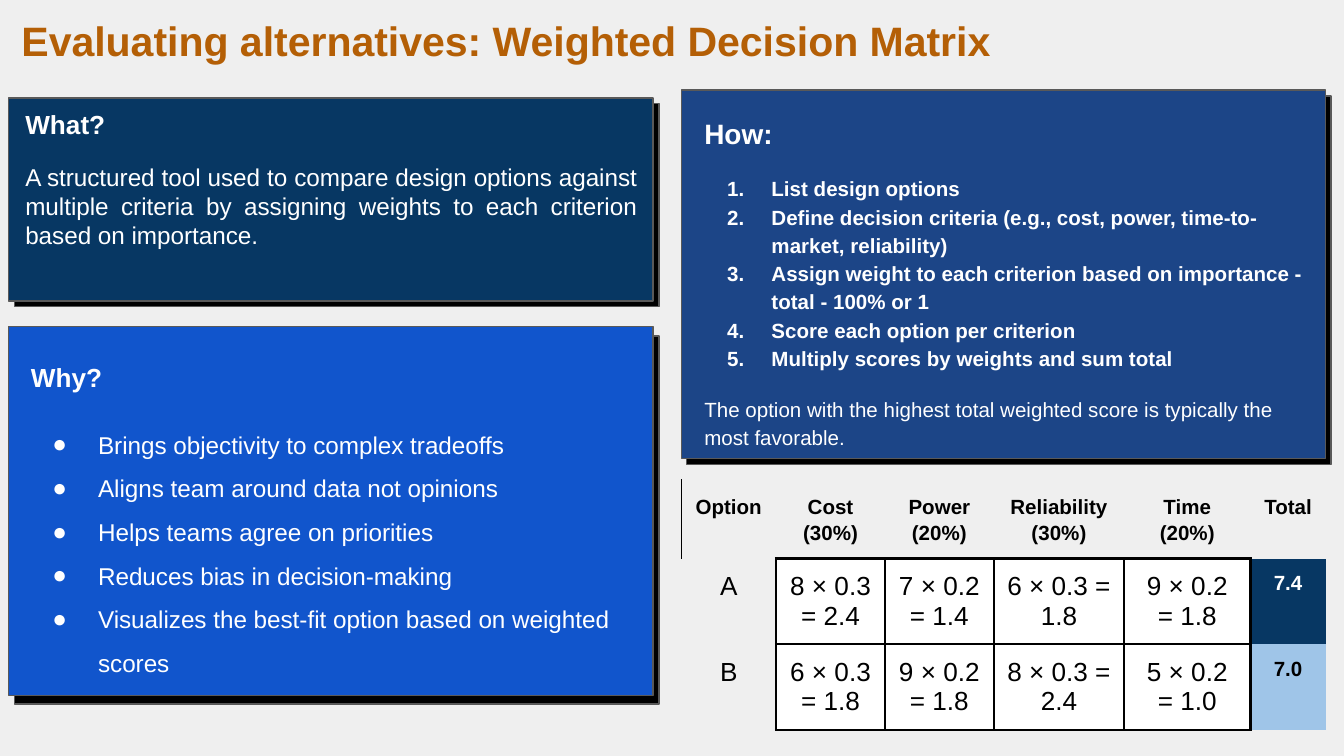
from lxml import etree
from pptx import Presentation
from pptx.dml.color import RGBColor
from pptx.enum.shapes import MSO_SHAPE
from pptx.enum.text import MSO_ANCHOR, MSO_AUTO_SIZE, PP_ALIGN
from pptx.oxml.ns import qn
from pptx.util import Pt

RECTANGLE = MSO_SHAPE.RECTANGLE
TOP, MIDDLE = MSO_ANCHOR.TOP, MSO_ANCHOR.MIDDLE
NO_AUTOFIT = MSO_AUTO_SIZE.NONE
LEFT, CENTER, JUSTIFY = PP_ALIGN.LEFT, PP_ALIGN.CENTER, PP_ALIGN.JUSTIFY

PX = 4572
INSET = 20 * PX
COLORS = {
    "background": "EFEFEF", "title": "B45F06", "outline": "595959",
    "black": "000000", "white": "FFFFFF", "what": "073763",
    "why": "1155CC", "how": "1C4587", "runner_up": "9FC5E8",
}


def rgb(name):
    return RGBColor.from_string(COLORS[name])


def write(paragraph, text, size, color="white", bold=False, align=LEFT,
          spacing=1.0, before=0, after=0, bullet=None, hang=0):
    paragraph.alignment = align
    paragraph.line_spacing = spacing
    paragraph.space_before = Pt(before)
    paragraph.space_after = Pt(after)
    run = paragraph.add_run()
    run.text = text
    run.font.name = "Arial"
    run.font.size = Pt(size)
    run.font.bold = bold
    run.font.color.rgb = rgb(color)
    pPr = paragraph._p.get_or_add_pPr()
    pPr.set("marL", str(100 * PX if bullet else 0))
    pPr.set("indent", str(-hang * PX))
    if bullet == "number":
        etree.SubElement(pPr, qn("a:buFont"), typeface="Arial")
        etree.SubElement(pPr, qn("a:buAutoNum"), type="arabicPeriod")
    elif bullet:
        etree.SubElement(pPr, qn("a:buFont"), typeface="Arial")
        etree.SubElement(pPr, qn("a:buChar"), char=bullet)
    else:
        etree.SubElement(pPr, qn("a:buNone"))


prs = Presentation()
prs.slide_width, prs.slide_height = 2000 * PX, 1125 * PX
slide = prs.slides.add_slide(prs.slide_layouts[3])
slide.background.fill.solid()
slide.background.fill.fore_color.rgb = rgb("background")

panels = [
    (22, 500, 548, "black"), (22, 154, 302, "black"), (1022, 143, 548, "black"),
    (13, 146, 302, "what"), (13, 486, 549, "why"), (1014, 134, 548, "how"),
]
for left, top, height, color in panels:
    panel = slide.shapes.add_shape(RECTANGLE, left * PX, top * PX, 959 * PX, height * PX)
    panel.shadow.inherit = False
    panel.fill.solid()
    panel.fill.fore_color.rgb = rgb(color)
    panel.line.color.rgb = rgb("outline")
    panel.line.width = Pt(0.75)

title, why, how = slide.placeholders
what = slide.shapes.add_textbox(0, 0, PX, PX)
text_areas = [
    (title, 12, 1, 1666, 118, MIDDLE), (what, 18, 141, 949, 252, TOP),
    (why, 26, 511, 932, 500, TOP), (how, 1028, 146, 950, 544, TOP),
]
for area, left, top, width, height, anchor in text_areas:
    area.left, area.top = left * PX, top * PX
    area.width, area.height = width * PX, height * PX
    frame = area.text_frame
    frame.word_wrap = True
    frame.auto_size = NO_AUTOFIT
    frame.vertical_anchor = anchor
    frame.margin_left = frame.margin_right = INSET
    frame.margin_top = frame.margin_bottom = INSET
    slide.shapes.element.append(area.element)

write(title.text_frame.paragraphs[0], "Evaluating alternatives: Weighted Decision Matrix",
      22, "title", bold=True)

write(what.text_frame.paragraphs[0], "What?", 14, bold=True)
write(what.text_frame.add_paragraph(),
      "A structured tool used to compare design options against multiple criteria "
      "by assigning weights to each criterion based on importance.",
      13, align=JUSTIFY, before=12)

reasons = [
    "Brings objectivity to complex tradeoffs",
    "Aligns team around data not opinions",
    "Helps teams agree on priorities",
    "Reduces bias in decision-making",
    "Visualizes the best-fit option based on weighted scores",
]
write(why.text_frame.paragraphs[0], "Why?", 14, bold=True, spacing=1.15, before=12)
for i, reason in enumerate(reasons):
    write(why.text_frame.add_paragraph(), reason, 13, spacing=1.5,
          before=0 if i else 12, bullet="●", hang=68)

steps = [
    "List design options",
    "Define decision criteria (e.g., cost, power, time-to-market, reliability)",
    "Assign weight to each criterion based on importance - total - 100% or 1",
    "Score each option per criterion",
    "Multiply scores by weights and sum total",
]
write(how.text_frame.paragraphs[0], "How:", 15, bold=True, spacing=1.15, before=12)
for i, step in enumerate(steps):
    write(how.text_frame.add_paragraph(), step, 11, bold=True, spacing=1.15,
          before=0 if i else 12, bullet="number", hang=66)
write(how.text_frame.add_paragraph(),
      "The option with the highest total weighted score is typically the most favorable.",
      11, spacing=1.15, before=12, after=12)

matrix = [
    ["Option", "Cost (30%)", "Power (20%)", "Reliability (30%)", "Time (20%)", "Total"],
    ["A", "8 × 0.3 = 2.4", "7 × 0.2 = 1.4", "6 × 0.3 = 1.8", "9 × 0.2 = 1.8", "7.4"],
    ["B", "6 × 0.3 = 1.8", "9 × 0.2 = 1.8", "8 × 0.3 = 2.4", "5 × 0.2 = 1.0", "7.0"],
]
column_widths = [141, 162, 162, 194, 188, 112]
row_heights = [112, 120, 120]
total_styles = {1: ("what", "white"), 2: ("runner_up", "black")}
score_cells = {(r, c) for r in (1, 2) for c in range(1, 5)}
neighbours = {"a:lnL": (0, -1), "a:lnR": (0, 1), "a:lnT": (-1, 0), "a:lnB": (1, 0)}

table = slide.shapes.add_table(3, 6, 1014 * PX, 713 * PX, sum(column_widths) * PX,
                               sum(row_heights) * PX).table
table.first_row = table.horz_banding = False
for column, width in zip(table.columns, column_widths):
    column.width = width * PX
for row, height in zip(table.rows, row_heights):
    row.height = height * PX

for r, texts in enumerate(matrix):
    for c, text in enumerate(texts):
        cell = table.cell(r, c)
        cell.margin_left = cell.margin_right = INSET
        cell.margin_top = cell.margin_bottom = INSET
        tcPr = cell._tc.get_or_add_tcPr()
        for side, (down, right) in neighbours.items():
            header_edge = (r, c, side) == (0, 0, "a:lnL")
            ruled = header_edge or {(r, c), (r + down, c + right)} & score_cells
            border = etree.SubElement(tcPr, qn(side), w=str(Pt(0.75 if header_edge else 1.5)))
            if ruled:
                fill = etree.SubElement(border, qn("a:solidFill"))
                etree.SubElement(fill, qn("a:srgbClr"), val=COLORS["black"])
            else:
                etree.SubElement(border, qn("a:noFill"))
        is_total = c == 5 and r > 0
        fill_color, text_color = total_styles[r] if is_total else ("white", "black")
        if is_total or (r, c) in score_cells:
            cell.fill.solid()
            cell.fill.fore_color.rgb = rgb(fill_color)
        else:
            cell.fill.background()
        strong = r == 0 or is_total
        write(cell.text_frame.paragraphs[0], text, 11 if strong else 14, text_color,
              bold=strong, align=CENTER, spacing=1.0 if r else 1.15)

prs.save("out.pptx")
